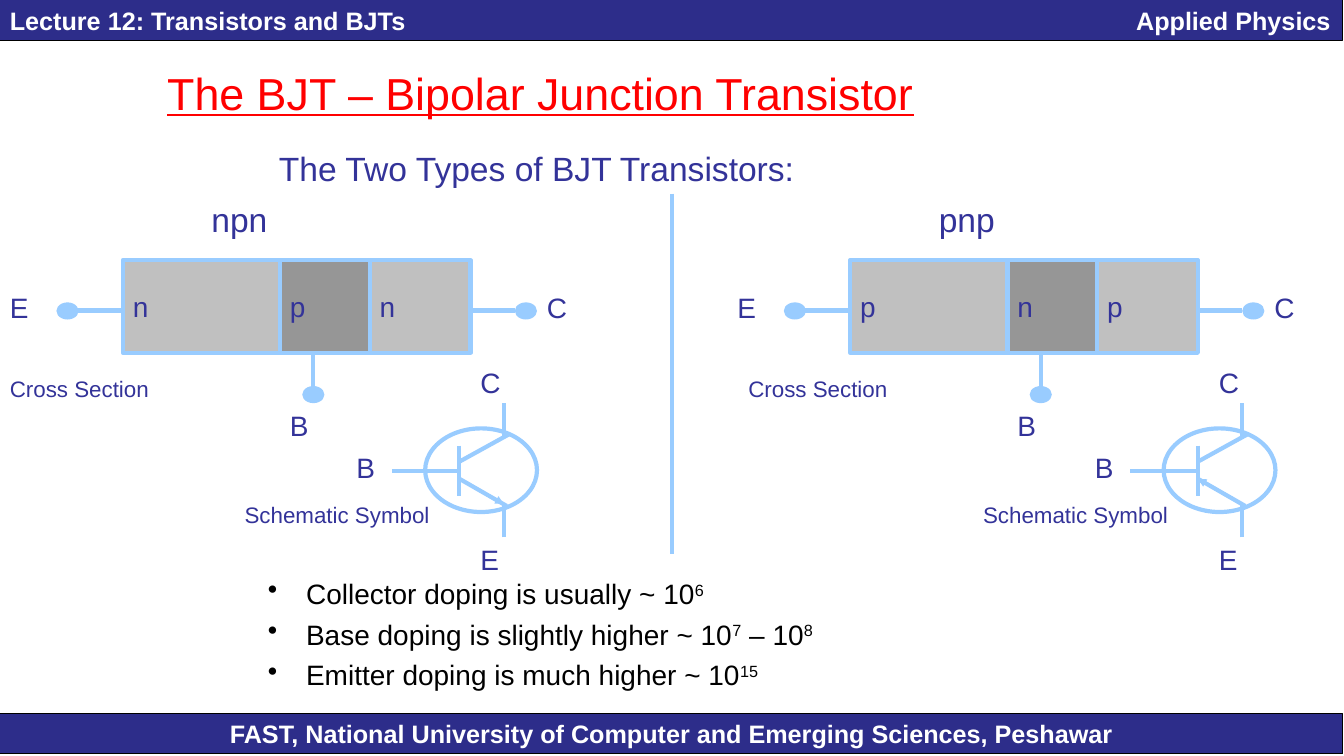
from dataclasses import dataclass

from lxml.etree import SubElement
from pptx import Presentation
from pptx.dml.color import RGBColor
from pptx.enum.shapes import MSO_CONNECTOR, MSO_SHAPE
from pptx.enum.text import MSO_ANCHOR, MSO_AUTO_SIZE, PP_ALIGN
from pptx.oxml.ns import qn
from pptx.shapes.autoshape import Shape
from pptx.slide import Slide
from pptx.text.text import TextFrame, _Paragraph, _Run
from pptx.util import Pt

PX = 9144  # 100 px to the inch
NAVY = RGBColor(0x2D, 0x2D, 0x8A)
INDIGO = RGBColor(0x33, 0x33, 0x99)
SKY = RGBColor(0x99, 0xCC, 0xFF)
LIGHT_GRAY = RGBColor(0xC0, 0xC0, 0xC0)
DARK_GRAY = RGBColor(0x96, 0x96, 0x96)
RED = RGBColor(0xFF, 0, 0)
BLACK = RGBColor(0, 0, 0)
WHITE = RGBColor(0xFF, 0xFF, 0xFF)


@dataclass(frozen=True)
class Box:
    left: int
    top: int
    width: int
    height: int

    def emu(self, dx: int = 0) -> tuple[int, int, int, int]:
        return ((self.left + dx) * PX, self.top * PX, self.width * PX, self.height * PX)


@dataclass(frozen=True)
class Label:
    text: str
    box: Box
    size: int = 20


@dataclass(frozen=True)
class Lead:
    start: tuple[int, int]
    end: tuple[int, int]
    width: int = 3
    arrow: bool = False


@dataclass(frozen=True)
class Region:
    box: Box
    fill: RGBColor


@dataclass(frozen=True)
class Transistor:
    kind: str
    section_dx: int
    symbol_dx: int
    emitter_arrow: Lead


REGIONS = [
    Region(Box(122, 258, 156, 92), LIGHT_GRAY),
    Region(Box(278, 258, 100, 92), DARK_GRAY),
    Region(Box(367, 258, 100, 92), LIGHT_GRAY),
]
SECTION_LEADS = [
    Lead((122, 308), (67, 308)),
    Lead((311, 350), (311, 383)),
    Lead((467, 308), (511, 308)),
]
TERMINALS = [Box(left, top, 22, 17) for left, top in ((511, 300), (300, 383), (56, 300))]
SECTION_LABELS = [
    Label("E", Box(0, 283, 56, 44)),
    Label("B", Box(278, 400, 56, 44)),
    Label("C", Box(533, 283, 56, 44)),
]
SYMBOL_CIRCLE = Box(422, 425, 111, 83)
SYMBOL_LEADS = [
    Lead((456, 442), (456, 492)),
    Lead((456, 458), (505, 431)),
    Lead((456, 475), (503, 502)),
    Lead((456, 467), (389, 467)),
    Lead((500, 433), (500, 400)),
    Lead((500, 533), (500, 500)),
]
SYMBOL_LABELS = [
    Label("Cross Section", Box(0, 367, 233, 37), 16),
    Label("B", Box(344, 442, 44, 44)),
    Label("C", Box(467, 358, 56, 44)),
    Label("E", Box(467, 533, 56, 44)),
    Label("Schematic Symbol", Box(233, 492, 233, 37), 16),
]
TRANSISTORS = [
    Transistor("npn", 0, 0, Lead((456, 475), (500, 500), 2, True)),
    Transistor("pnp", 722, 733, Lead((500, 500), (456, 475), 2, True)),
]
# Each line alternates normal text and superscript.
DOPING_NOTES = [
    ("Collector doping is usually ~ 10", "6"),
    ("Base doping is slightly higher ~ 10", "7", " – 10", "8"),
    ("Emitter doping is much higher ~ 10", "15"),
]


def add_run(paragraph: _Paragraph, text: str, size: int, color: RGBColor, **extra: bool) -> _Run:
    run = paragraph.add_run()
    run.text = text
    for name, value in {"name": "Arial", "size": Pt(size), **extra}.items():
        setattr(run.font, name, value)
    run.font.color.rgb = color
    return run


def set_frame(frame: TextFrame, anchor: MSO_ANCHOR = MSO_ANCHOR.TOP) -> _Paragraph:
    """Apply the shared frame settings and return the first paragraph, left-aligned."""
    settings = {"word_wrap": True, "auto_size": MSO_AUTO_SIZE.NONE, "vertical_anchor": anchor}
    for name, value in settings.items():
        setattr(frame, name, value)
    paragraph = frame.paragraphs[0]
    paragraph.alignment = PP_ALIGN.LEFT
    return paragraph


def add_label(slide: Slide, label: Label, dx: int = 0) -> None:
    caption = slide.shapes.add_textbox(*label.box.emu(dx))
    add_run(set_frame(caption.text_frame), label.text, label.size, INDIGO)


def add_lead(slide: Slide, lead: Lead, dx: int = 0) -> None:
    (x1, y1), (x2, y2) = lead.start, lead.end
    wire = slide.shapes.add_connector(
        MSO_CONNECTOR.STRAIGHT, (x1 + dx) * PX, y1 * PX, (x2 + dx) * PX, y2 * PX
    )
    wire.line.color.rgb = SKY
    wire.line.width = Pt(lead.width)
    if lead.arrow:
        SubElement(wire.get_or_add_ln(), qn("a:tailEnd"), type="triangle")
    SubElement(wire.element.spPr, qn("a:effectLst"))


def add_filled(
    slide: Slide, preset: MSO_SHAPE, box: Box, dx: int = 0, fill: RGBColor | None = None,
    outline: RGBColor | None = None, outline_width: float = 3,
) -> Shape:
    shape = slide.shapes.add_shape(preset, *box.emu(dx))
    shape.shadow.inherit = False
    for target, color in ((shape.fill, fill), (shape.line.fill, outline)):
        if color is None:
            target.background()
        else:
            target.solid()
            target.fore_color.rgb = color
    if outline is not None:
        shape.line.width = Pt(outline_width)
    return shape


def add_bar(slide: Slide, top: int, text: str) -> _Paragraph:
    bar = add_filled(slide, MSO_SHAPE.RECTANGLE, Box(0, top, 1333, 40), 0, NAVY, BLACK, 0.75)
    paragraph = set_frame(bar.text_frame)
    add_run(paragraph, text, 18, WHITE, bold=True)
    return paragraph


def add_cross_section(slide: Slide, transistor: Transistor) -> None:
    dx = transistor.section_dx
    add_label(slide, Label(transistor.kind, Box(200, 192, 189, 50), 24), dx)
    for region, doping in zip(REGIONS, transistor.kind):
        block = add_filled(slide, MSO_SHAPE.RECTANGLE, region.box, dx, region.fill, SKY)
        add_run(set_frame(block.text_frame, MSO_ANCHOR.MIDDLE), doping, 20, INDIGO)
    for lead in SECTION_LEADS:
        add_lead(slide, lead, dx)
    for terminal in TERMINALS:
        add_filled(slide, MSO_SHAPE.OVAL, terminal, dx, SKY)
    for label in SECTION_LABELS:
        add_label(slide, label, dx)


def add_schematic_symbol(slide: Slide, transistor: Transistor) -> None:
    dx = transistor.symbol_dx
    add_filled(slide, MSO_SHAPE.OVAL, SYMBOL_CIRCLE, dx, outline=SKY)
    for lead in [*SYMBOL_LEADS, transistor.emitter_arrow]:
        add_lead(slide, lead, dx)
    for label in SYMBOL_LABELS:
        add_label(slide, label, dx)


def add_doping_notes(slide: Slide) -> None:
    frame = slide.shapes.add_textbox(*Box(256, 567, 833, 124).emu()).text_frame
    paragraph = set_frame(frame)
    for index, note in enumerate(DOPING_NOTES):
        if index:
            paragraph = frame.add_paragraph()
            paragraph.space_before = Pt(5)
        properties = paragraph._p.get_or_add_pPr()
        properties.set("marL", str(38 * PX))
        properties.set("indent", str(-38 * PX))
        SubElement(properties, qn("a:buChar"), char="•")
        for position, text in enumerate(note):
            run = add_run(paragraph, text, 20, BLACK)
            if position % 2:
                run._r.get_or_add_rPr().set("baseline", "30000")


def main() -> None:
    deck = Presentation()
    deck.slide_width, deck.slide_height = 1334 * PX, 750 * PX
    slide = deck.slides.add_slide(deck.slide_layouts[5])

    add_bar(slide, 708, "FAST, National University of Computer and Emerging Sciences, Peshawar"
            ).alignment = PP_ALIGN.CENTER
    header = add_bar(slide, 0, "Lecture 12: Transistors and BJTs\tApplied Physics")
    tabs = SubElement(header._p.get_or_add_pPr(), qn("a:tabLst"))
    SubElement(tabs, qn("a:tab"), pos=str(1311 * PX), algn="r")

    title = slide.shapes.title
    title.left, title.top, title.width, title.height = Box(156, 60, 1111, 64).emu()
    add_run(set_frame(title.text_frame), "The BJT – Bipolar Junction Transistor", 32, RED,
            underline=True)
    add_label(slide, Label("The Two Types of BJT Transistors:", Box(267, 142, 811, 50), 24))
    add_lead(slide, Lead((667, 192), (667, 550)))
    for transistor in TRANSISTORS:
        add_cross_section(slide, transistor)
        add_schematic_symbol(slide, transistor)
    add_doping_notes(slide)
    deck.save("out.pptx")


if __name__ == "__main__":
    main()
